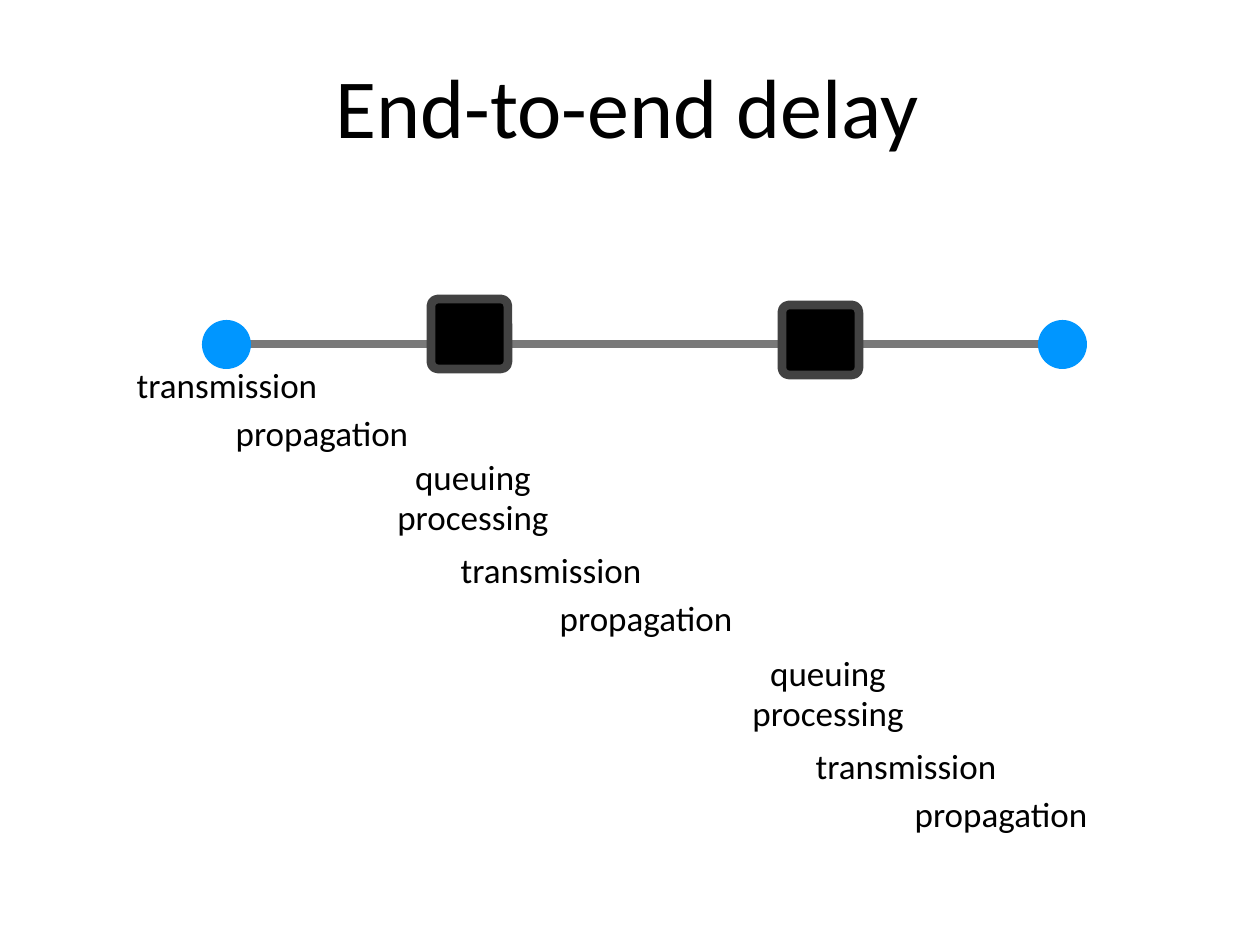
from dataclasses import dataclass

from lxml.etree import SubElement
from pptx import Presentation
from pptx.dml.color import RGBColor
from pptx.enum.shapes import MSO_CONNECTOR, MSO_SHAPE
from pptx.enum.text import MSO_ANCHOR, PP_ALIGN
from pptx.oxml.ns import qn
from pptx.util import Emu, Inches, Pt

PIXEL = Inches(1) / 126


@dataclass(frozen=True)
class Theme:
    font: str = "Calibri"
    text: str = "000000"
    host: str = "0096FF"
    router: str = "000000"
    router_edge: str = "424242"
    link: str = "797979"
    title_size: int = 48
    label_size: int = 20
    stroke: int = 5
    inset: int = 5


def px(*lengths):
    return [Emu(round(length * PIXEL)) for length in lengths]


class SlideBuilder:
    def __init__(self, slide, theme):
        self.slide = slide
        self.theme = theme

    def set_text(self, shape, text, size):
        """Put one centred line of text in a shape."""
        frame = shape.text_frame
        inset = px(self.theme.inset)[0]
        frame_format = {
            "text": text, "word_wrap": True, "vertical_anchor": MSO_ANCHOR.MIDDLE,
            "margin_left": inset, "margin_right": inset,
            "margin_top": inset, "margin_bottom": inset,
        }
        for name, value in frame_format.items():
            setattr(frame, name, value)
        paragraph = frame.paragraphs[0]
        paragraph.alignment = PP_ALIGN.CENTER
        font = paragraph.runs[0].font
        for name, value in {"name": self.theme.font, "size": Pt(size)}.items():
            setattr(font, name, value)
        font.color.rgb = RGBColor.from_string(self.theme.text)

    def title(self, text, left, top, width, height):
        title = self.slide.shapes.title
        box = zip(("left", "top", "width", "height"), px(left, top, width, height))
        for name, value in box:
            setattr(title, name, value)
        self.set_text(title, text, self.theme.title_size)

    def label(self, text, left, top):
        box = self.slide.shapes.add_textbox(*px(left, top, 210, 53))
        self.set_text(box, text, self.theme.label_size)

    def link(self, start, end):
        line = self.slide.shapes.add_connector(MSO_CONNECTOR.STRAIGHT, *px(*start, *end))
        line.line.color.rgb = RGBColor.from_string(self.theme.link)
        line.line.width = Pt(self.theme.stroke)
        SubElement(line._element.spPr, qn("a:effectLst"))

    def node(self, kind, box, fill):
        shape = self.slide.shapes.add_shape(kind, *px(*box))
        shape.shadow.inherit = False
        shape.fill.solid()
        shape.fill.fore_color.rgb = RGBColor.from_string(fill)
        return shape

    def host(self, left, top):
        shape = self.node(MSO_SHAPE.OVAL, (left, top, 49, 49), self.theme.host)
        shape.line.fill.background()

    def router(self, left, top):
        box = (left, top, 77, 70)
        shape = self.node(MSO_SHAPE.ROUNDED_RECTANGLE, box, self.theme.router)
        shape.adjustments[0] = 0.1
        shape.line.color.rgb = RGBColor.from_string(self.theme.router_edge)
        shape.line.width = Pt(self.theme.stroke)


presentation = Presentation()
presentation.slide_width, presentation.slide_height = Inches(10), Inches(7.5)
title_only = presentation.slide_layouts[5]
builder = SlideBuilder(presentation.slides.add_slide(title_only), Theme())

builder.title("End-to-end delay", 120, -14, 1014, 237)

# Path from host to host through two routers
builder.link((233, 344), (1052, 344))
for left in (202, 1038):
    builder.host(left, 320)
for left, top in ((431, 299), (782, 305)):
    builder.router(left, top)

# Delays on each hop; a router adds queuing and processing first
ROUTER_DELAYS = (("queuing", -78, -93), ("processing", -78, -53))
LINK_DELAYS = (("transmission", 0, 0), ("propagation", 95, 48))
hops = (
    (122, 358, LINK_DELAYS),
    (446, 543, ROUTER_DELAYS + LINK_DELAYS),
    (801, 739, ROUTER_DELAYS + LINK_DELAYS),
)
for hop_left, hop_top, delays in hops:
    for delay, across, down in delays:
        builder.label(delay, hop_left + across, hop_top + down)

presentation.save("out.pptx")
